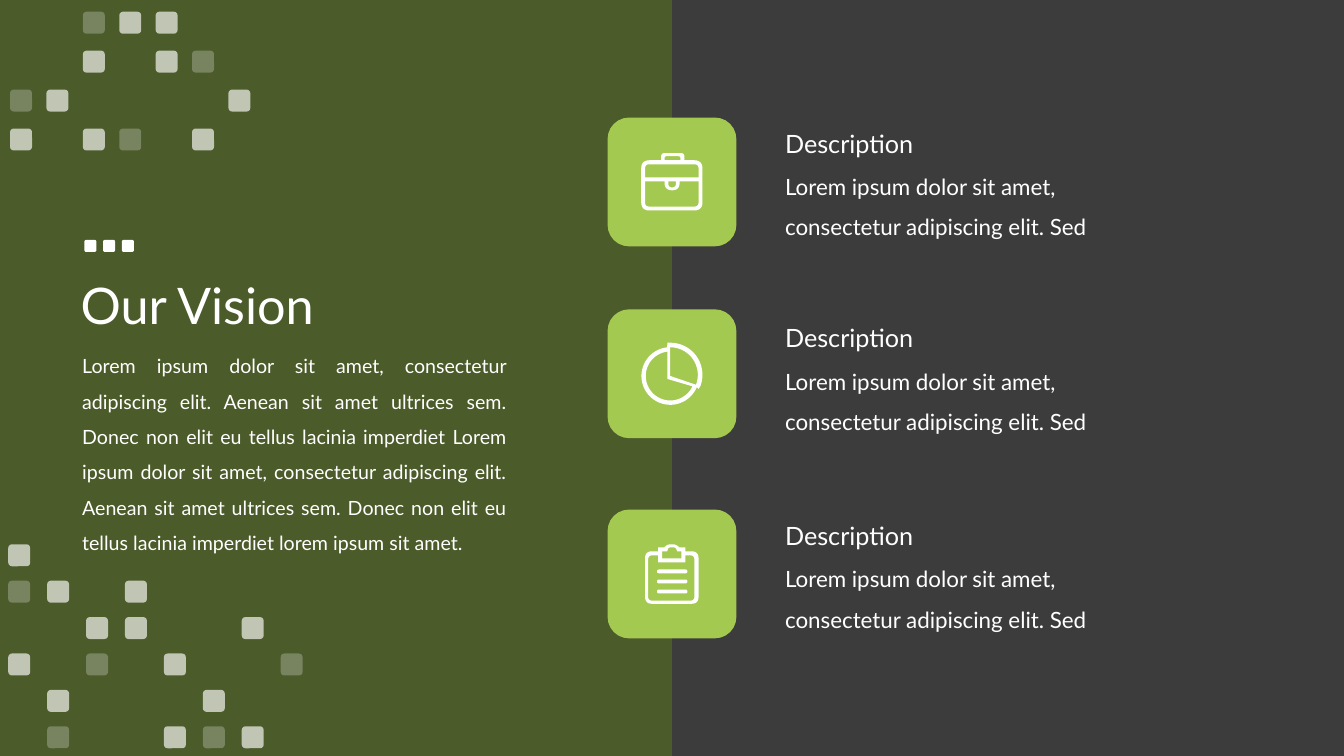
"""Build the "Our Vision" slide with three described icon tiles."""
import math

import lxml.etree
import pptx
import pptx.dml.color
import pptx.enum.shapes
import pptx.enum.text
import pptx.oxml.ns
import pptx.util

Pt = pptx.util.Pt
PRESETS = pptx.enum.shapes.MSO_SHAPE
ALIGN = pptx.enum.text.PP_ALIGN
COLORS = {"background": "3C3C3C", "panel": "546C21", "tile": "A3C951", "white": "FFFFFF"}


def paint(shape, color, opacity=100):
    """Give the shape a plain fill with no line or shadow."""
    shape.shadow.inherit = False
    shape.line.fill.background()
    shape.fill.solid()
    shape.fill.fore_color.rgb = pptx.dml.color.RGBColor.from_string(COLORS[color])
    if opacity < 100:
        color_element = shape.element.spPr.find(pptx.oxml.ns.qn("a:solidFill"))[0]
        alpha = lxml.etree.SubElement(color_element, pptx.oxml.ns.qn("a:alpha"))
        alpha.set("val", str(opacity * 1000))


def arc(center_x, center_y, radius, start, end):
    """List the points of an arc, with angles in degrees clockwise from the right."""
    steps = max(8, round(abs(end - start) / 6))
    angles = [math.radians(start + (end - start) * step / steps) for step in range(steps + 1)]
    return [(center_x + radius * math.cos(angle), center_y + radius * math.sin(angle))
            for angle in angles]


presentation = pptx.Presentation()
presentation.slide_width = Pt(960)
presentation.slide_height = Pt(540)
slide = presentation.slides.add_slide(presentation.slide_layouts[5])
slide.background.fill.solid()
slide.background.fill.fore_color.rgb = pptx.dml.color.RGBColor.from_string(COLORS["background"])

panel = slide.shapes.add_shape(PRESETS.RECTANGLE, 0, 0, Pt(480), Pt(540))
paint(panel, "panel", 65)
panel.element.getparent().insert(2, panel.element)

title = slide.shapes.title
title.left, title.top, title.width, title.height = Pt(50.4), Pt(160), Pt(828), Pt(120)
title.text_frame.vertical_anchor = pptx.enum.text.MSO_ANCHOR.MIDDLE
title.text_frame.auto_size = pptx.enum.text.MSO_AUTO_SIZE.NONE

vision = ("Lorem ipsum dolor sit amet, consectetur adipiscing elit. Aenean sit amet ultrices sem. "
          "Donec non elit eu tellus lacinia imperdiet Lorem ipsum dolor sit amet, consectetur "
          "adipiscing elit. Aenean sit amet ultrices sem. Donec non elit eu tellus lacinia "
          "imperdiet lorem ipsum sit amet.")
detail = "Lorem ipsum dolor sit amet, consectetur adipiscing elit. Sed"
texts = [(title, "Our Vision", 36, 0.9, ALIGN.LEFT)]
vision_box = slide.shapes.add_textbox(Pt(51.6), Pt(241.2), Pt(317.5), Pt(156))
texts.append((vision_box, vision, 14, 1.5, ALIGN.JUSTIFY))
for heading_top in (87.8, 227, 368):
    detail_box = slide.shapes.add_textbox(Pt(553.7), Pt(heading_top + 22.7), Pt(286.5), Pt(62))
    texts.append((detail_box, detail, 16, 1.5, ALIGN.LEFT))
    heading_box = slide.shapes.add_textbox(Pt(553.7), Pt(heading_top), Pt(169), Pt(29))
    texts.append((heading_box, "Description", 18, 1, ALIGN.LEFT))

for box, wording, size, line_spacing, alignment in texts:
    box.text_frame.word_wrap = True
    paragraph = box.text_frame.paragraphs[0]
    paragraph.alignment = alignment
    paragraph.line_spacing = line_spacing
    run = paragraph.add_run()
    run.text = wording
    run.font.name = "Lato"
    run.font.size = Pt(size)
    run.font.color.rgb = pptx.dml.color.RGBColor.from_string(COLORS["white"])

opacities = {"#": 65, "-": 25, "o": 100}
mosaics = [
    (7.2, 8.4, 26, 27.8, 15.7, ["..-##", "..#.#-", "-#....#", "#.#-.#"]),
    (5.9, 388.8, 27.8, 26, 15.7,
     ["#", "-#.#", "..##..#", "#.-.#..-", ".#...#", ".-..#-#"]),
    (60.2, 171.3, 13.4, 0, 8.7, ["ooo"]),
]
for left, top, column_step, row_step, size, rows in mosaics:
    for row, marks in enumerate(rows):
        for column, mark in enumerate(marks):
            if mark in opacities:
                square = slide.shapes.add_shape(
                    PRESETS.ROUNDED_RECTANGLE, Pt(left + column * column_step),
                    Pt(top + row * row_step), Pt(size), Pt(size))
                paint(square, "white", opacities[mark])

briefcase = [
    [(24, 30.5, 6), (38.3, 30.5), (38.3, 25.4, 2.5), (54.9, 25.4, 2.5), (54.9, 30.5),
     (67.8, 30.5, 6), (67.8, 66.4, 6), (24, 66.4, 6)],
    [(40.7, 30.5), (40.7, 27.6, 1.5), (52, 27.6, 1.5), (52, 30.5)],
    [(26.8, 42.7), (26.8, 33.4, 3), (65, 33.4, 3), (65, 42.7)],
    [(26.8, 45.6), (40.7, 45.6), (40.7, 52, 5.4), (51.5, 52, 5.4), (51.5, 45.6),
     (65, 45.6), (65, 63.6, 3), (26.8, 63.6, 3)],
    [(43.4, 45.6), (43.4, 49.9, 2.7), (48.8, 49.9, 2.7), (48.8, 45.6)],
]
pie = [
    [(42.7, 23.8)] + arc(44.8, 46.8, 23, -90, 20) + [(65, 56.9)]
    + arc(44.8, 47.6, 20.6, 23, 264),
    arc(44.8, 47.6, 17.5, 25, 263) + [(42.7, 49.7)],
    [(44.8, 47.6)] + arc(44.8, 46.8, 19.7, -90, 21),
]
clipboard = [
    [(26.8, 29.8, 5), (36.2, 29.8), (36.2, 27), (40.5, 27), (43, 24.8, 2), (48.5, 24.8, 2),
     (51.3, 27), (55.6, 27), (55.6, 29.8), (65, 29.8, 5), (65, 67.3, 5), (26.8, 67.3, 5)],
    [(39, 29.8), (42.6, 29.8), (43.5, 27, 1.5), (48.5, 27, 1.5), (49.8, 29.8),
     (52.7, 29.8), (52.7, 34.9), (39, 34.9)],
    [(29, 32.7, 3), (36.2, 32.7), (36.2, 37.8), (55.6, 37.8), (55.6, 32.7),
     (62, 32.7, 3), (62, 65.1, 3), (29, 65.1, 3)],
]
for line_top in (42.8, 50, 57.2):
    clipboard.append([(35.4, line_top, 1.3), (57, line_top, 1.3),
                      (57, line_top + 2.7, 1.3), (35.4, line_top + 2.7, 1.3)])

tile_left = 434
for tile_top, icon in ((84, briefcase), (221, pie), (364, clipboard)):
    tile = slide.shapes.add_shape(
        PRESETS.ROUNDED_RECTANGLE, Pt(tile_left), Pt(tile_top), Pt(92), Pt(92))
    paint(tile, "tile")
    builder = None
    for corners in icon:
        outline = []
        for index, (x, y, *radius) in enumerate(corners):
            if not radius:
                outline.append((x, y))
                continue
            before, after = [
                (x + (near[0] - x) * radius[0] / math.dist(near[:2], (x, y)),
                 y + (near[1] - y) * radius[0] / math.dist(near[:2], (x, y)))
                for near in (corners[index - 1], corners[(index + 1) % len(corners)])]
            for step in range(7):
                t = step / 6
                outline.append(tuple(
                    (1 - t) ** 2 * a + 2 * t * (1 - t) * b + t ** 2 * c
                    for a, b, c in zip(before, (x, y), after)))
        points = [(Pt(tile_left + x), Pt(tile_top + y)) for x, y in outline]
        if builder is None:
            builder = slide.shapes.build_freeform(*points[0])
        else:
            builder.move_to(*points[0])
        builder.add_line_segments(points[1:], close=True)
    paint(builder.convert_to_shape(), "white")

presentation.save("out.pptx")
